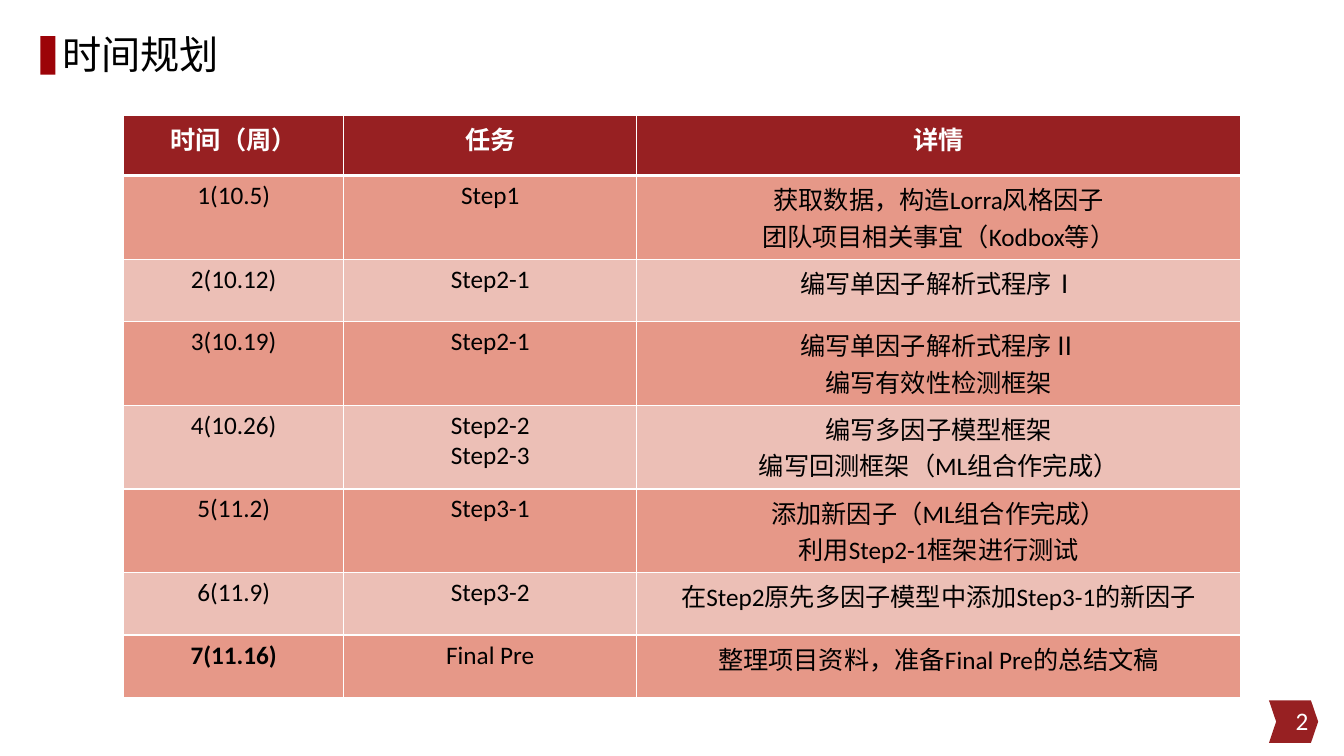
from dataclasses import dataclass
from typing import Any

from lxml.etree import SubElement
from pptx import Presentation
from pptx.dml.color import RGBColor
from pptx.enum.shapes import MSO_SHAPE
from pptx.enum.text import MSO_ANCHOR, PP_ALIGN
from pptx.oxml.ns import qn
from pptx.util import Cm, Pt


@dataclass(frozen=True)
class Theme:
    header: str = "972022"
    accent: str = "9C0308"
    bands: tuple[str, str] = ("E69888", "ECBFB6")
    light: str = "FFFFFF"
    dark: str = "000000"
    latin_font: str = "Calibri"
    chinese_font: str = "Noto Sans CJK SC"
    title_size: int = 28
    body_size: int = 18
    thin_line: int = 1
    thick_line: int = 3


@dataclass(frozen=True)
class Box:
    left: float
    top: float
    width: float
    height: float

    def lengths(self) -> tuple[Cm, Cm, Cm, Cm]:
        return Cm(self.left), Cm(self.top), Cm(self.width), Cm(self.height)


@dataclass(frozen=True)
class Week:
    date: str
    task: str
    details: str
    bold_date: bool = False

    def height(self) -> float:
        return TWO_LINE_HEIGHT if "\n" in self.details else ONE_LINE_HEIGHT


THEME = Theme()
TITLE_BOX = Box(1.32, -0.05, 28.73, 2.97)
TITLE_BAR = Box(1.02, 0.91, 0.38, 0.97)
PAGE_CHEVRON = Box(31.98, 17.65, 1.24, 1.07)
PAGE_NUMBER = Box(25.6, 17.65, 7.62, 1.02)
TABLE_BOX = Box(3.12, 2.9, 28.14, 14.67)
COLUMN_WIDTHS = (5.54, 7.39, 15.21)
HEADER_HEIGHT = 1.52
ONE_LINE_HEIGHT = 1.57
TWO_LINE_HEIGHT = 2.11
HEADINGS = ("时间（周）", "任务", "详情")
WEEKS = (
    Week("1(10.5)", "Step1", "获取数据，构造Lorra风格因子\n团队项目相关事宜（Kodbox等）"),
    Week("2(10.12)", "Step2-1", "编写单因子解析式程序Ⅰ"),
    Week("3(10.19)", "Step2-1", "编写单因子解析式程序Ⅱ\n编写有效性检测框架"),
    Week("4(10.26)", "Step2-2\nStep2-3", "编写多因子模型框架\n编写回测框架（ML组合作完成）"),
    Week("5(11.2)", "Step3-1", "添加新因子（ML组合作完成）\n利用Step2-1框架进行测试"),
    Week("6(11.9)", "Step3-2", "在Step2原先多因子模型中添加Step3-1的新因子"),
    Week("7(11.16)", "Final Pre", "整理项目资料，准备Final Pre的总结文稿", bold_date=True),
)


def write_text(frame: Any, text: str, color: str, alignment: PP_ALIGN,
               size: int = THEME.body_size, bold: bool = False,
               latin_font: str = THEME.latin_font) -> None:
    frame.text = text
    font_format = {"name": latin_font, "size": Pt(size), "bold": bold}
    for paragraph in frame.paragraphs:
        paragraph.alignment = alignment
        for run in paragraph.runs:
            for name, value in font_format.items():
                setattr(run.font, name, value)
            run.font.color.rgb = RGBColor.from_string(color)
            properties = run.font._element
            SubElement(properties, qn("a:ea"), typeface=THEME.chinese_font)


def add_block(slide: Any, preset: MSO_SHAPE, box: Box, color: str) -> Any:
    shape = slide.shapes.add_shape(preset, *box.lengths())
    shape.shadow.inherit = False
    shape.fill.solid()
    shape.fill.fore_color.rgb = RGBColor.from_string(color)
    shape.line.fill.background()
    return shape


def add_borders(cell: Any, top: int, bottom: int) -> None:
    """Draw light borders; this must run before the cell gets its fill."""
    properties = cell._tc.get_or_add_tcPr()
    widths = {"lnL": THEME.thin_line, "lnR": THEME.thin_line, "lnT": top, "lnB": bottom}
    for side, width in widths.items():
        line = SubElement(properties, qn(f"a:{side}"), w=str(Pt(width)))
        fill = SubElement(line, qn("a:solidFill"))
        SubElement(fill, qn("a:srgbClr"), val=THEME.light)


def add_title(slide: Any) -> None:
    title = slide.shapes.title
    title.left, title.top, title.width, title.height = TITLE_BOX.lengths()
    write_text(title.text_frame, "时间规划", THEME.dark, PP_ALIGN.LEFT,
               size=THEME.title_size, latin_font=THEME.chinese_font)
    title.text_frame.vertical_anchor = MSO_ANCHOR.MIDDLE
    title.text_frame.paragraphs[0].line_spacing = 0.9


def add_page_number(slide: Any) -> None:
    chevron = add_block(slide, MSO_SHAPE.CHEVRON, PAGE_CHEVRON, THEME.header)
    chevron.adjustments[0] = 0.17
    frame = slide.shapes.add_textbox(*PAGE_NUMBER.lengths()).text_frame
    frame.word_wrap = True
    frame.vertical_anchor = MSO_ANCHOR.MIDDLE
    write_text(frame, "2", THEME.light, PP_ALIGN.RIGHT)


def fill_row(table: Any, row: int, texts: tuple[str, ...], height: float,
             fill: str, color: str, bold: tuple[bool, ...]) -> None:
    table.rows[row].height = Cm(height)
    top = THEME.thick_line if row == 1 else THEME.thin_line
    bottom = THEME.thick_line if row == 0 else THEME.thin_line
    for column, text in enumerate(texts):
        cell = table.cell(row, column)
        add_borders(cell, top, bottom)
        cell.fill.solid()
        cell.fill.fore_color.rgb = RGBColor.from_string(fill)
        write_text(cell.text_frame, text, color, PP_ALIGN.CENTER, bold=bold[column])


def add_schedule(slide: Any) -> None:
    table = slide.shapes.add_table(
        len(WEEKS) + 1, len(HEADINGS), *TABLE_BOX.lengths()).table
    for column, width in zip(table.columns, COLUMN_WIDTHS):
        column.width = Cm(width)
    fill_row(table, 0, HEADINGS, HEADER_HEIGHT, THEME.header, THEME.light, (True,) * 3)
    for index, week in enumerate(WEEKS):
        fill_row(table, index + 1, (week.date, week.task, week.details), week.height(),
                 THEME.bands[index % 2], THEME.dark, (week.bold_date, False, False))


def main() -> None:
    presentation = Presentation()
    presentation.slide_width = Cm(33.87)
    presentation.slide_height = Cm(19.05)
    slide = presentation.slides.add_slide(presentation.slide_layouts.get_by_name("Title Only"))
    add_block(slide, MSO_SHAPE.RECTANGLE, TITLE_BAR, THEME.accent)
    add_title(slide)
    add_page_number(slide)
    add_schedule(slide)
    presentation.save("out.pptx")


if __name__ == "__main__":
    main()
